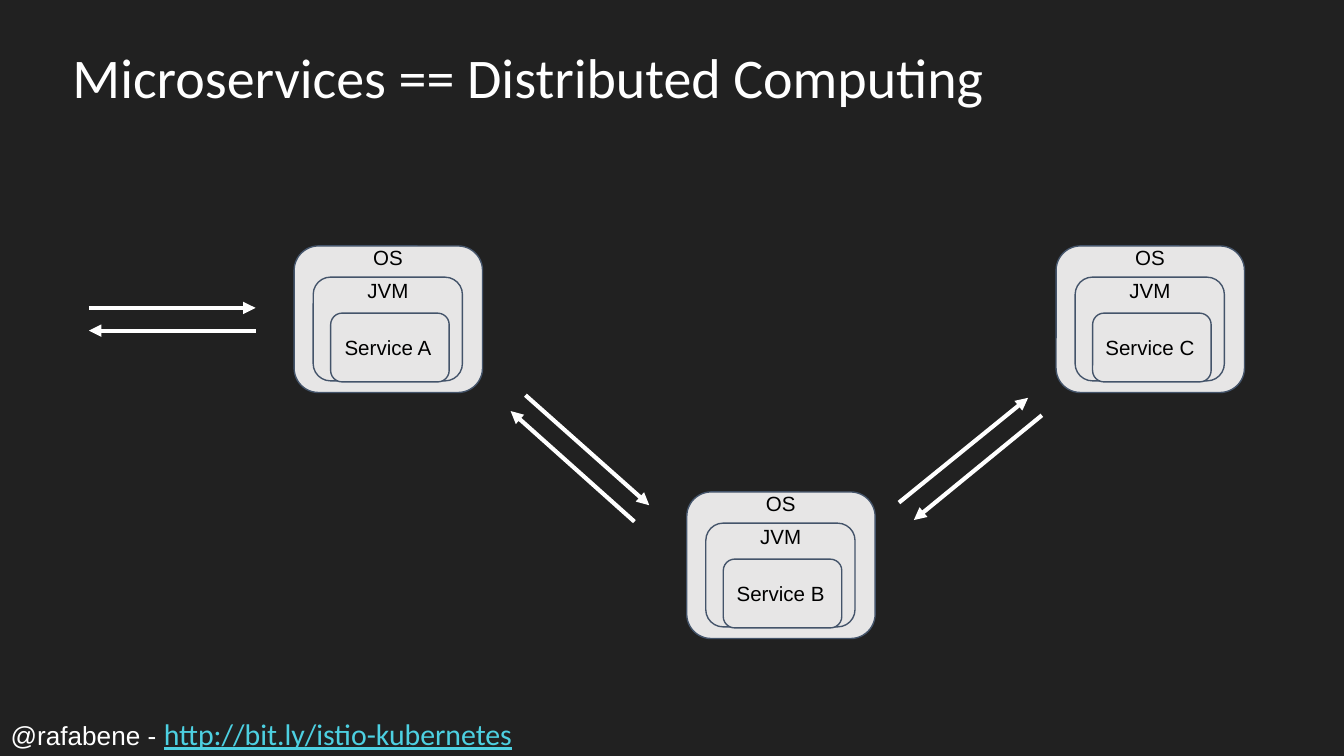
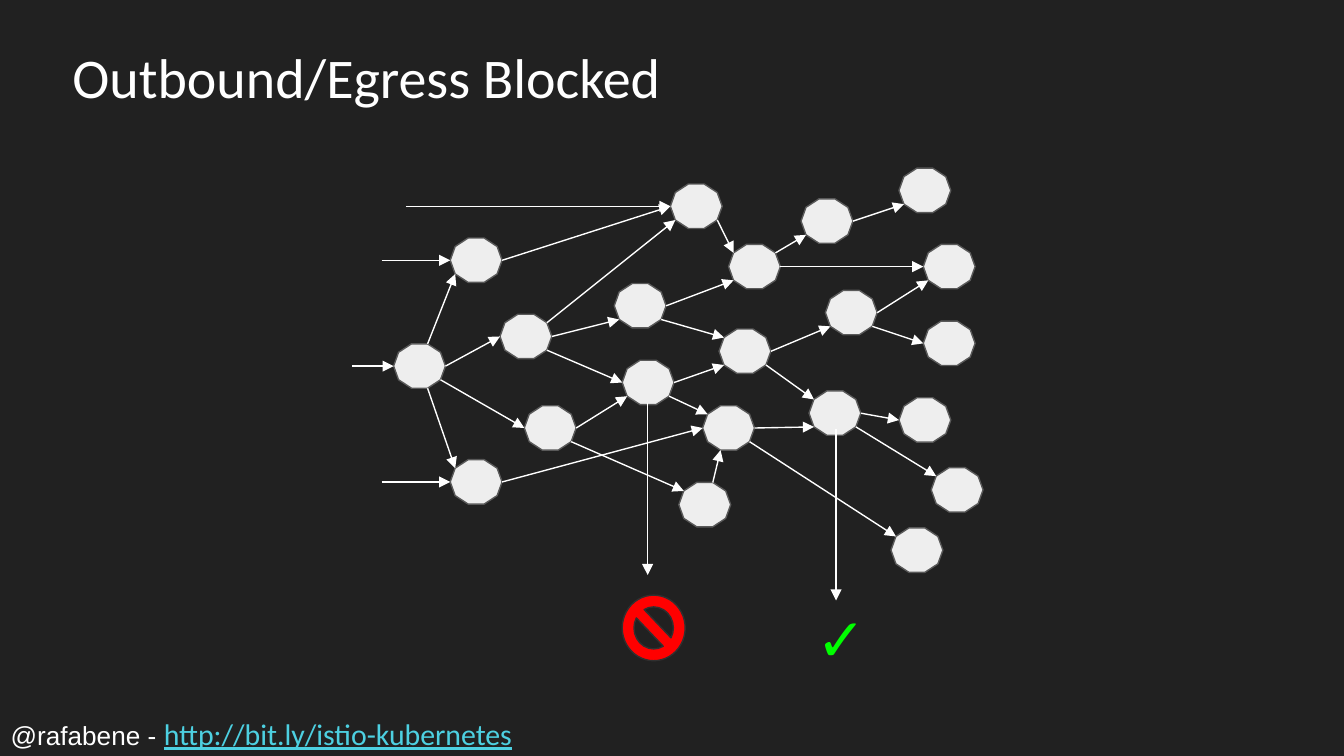
import math

import lxml.etree
import pptx
import pptx.dml.color
import pptx.enum.shapes
import pptx.enum.text
import pptx.oxml.ns
import pptx.util

Cm = pptx.util.Cm
Pt = pptx.util.Pt
RGBColor = pptx.dml.color.RGBColor
Shape = pptx.enum.shapes.MSO_SHAPE
Align = pptx.enum.text.PP_ALIGN
qn = pptx.oxml.ns.qn

BACKGROUND = RGBColor(0x21, 0x21, 0x21)
WHITE = RGBColor(0xFF, 0xFF, 0xFF)
BLACK = RGBColor(0x00, 0x00, 0x00)
LINK = RGBColor(0x4D, 0xD0, 0xE1)
LAYER_FILL = RGBColor(0xE7, 0xE6, 0xE6)
LAYER_LINE = RGBColor(0x44, 0x54, 0x6A)
NODE_FILL = RGBColor(0xEE, 0xEE, 0xEE)
NODE_LINE = RGBColor(0x59, 0x59, 0x59)
BLOCK_FILL = RGBColor(0xFF, 0x00, 0x00)
BLOCK_LINE = RGBColor(0x30, 0x30, 0x30)
ALLOWED = RGBColor(0x00, 0xFF, 0x00)

TITLES = ["Microservices == Distributed Computing", "Outbound/Egress Blocked"]
FOOTER = [
    ("@rafabene - ", "Arial", 14, WHITE, False),
    ("http://bit.ly/istio-kubernetes", "Calibri", 16, LINK, True),
]

SERVICES = [
    ("Service C", 19.96, 4.65),
    ("Service B", 12.98, 9.30),
    ("Service A", 5.56, 4.65),
]
LAYERS = [
    ("OS", (0, 0, 3.56, 2.77), -0.25),
    ("JVM", (0.36, 0.59, 2.82, 1.96), 0.38),
    (None, (0.69, 1.27, 2.24, 1.30), 1.45),
]
LABEL_LEFT, LABEL_WIDTH, LABEL_HEIGHT = 0.49, 2.57, 0.86
CALLS = [
    ((1.68, 5.82), (4.83, 5.82)),
    ((4.83, 6.25), (1.68, 6.25)),
    ((9.93, 7.47), (12.27, 9.55)),
    ((11.99, 9.86), (9.65, 7.77)),
    ((16.99, 9.50), (19.43, 7.52)),
    ((19.69, 7.85), (17.27, 9.83)),
]

NODE_WIDTH, NODE_HEIGHT, NODE_STRETCH = 0.98, 0.84, 1.05
NODES = {
    "a": (7.44, 6.50), "b": (8.51, 4.50), "c": (9.45, 5.94),
    "d": (9.91, 7.67), "e": (8.51, 8.69), "f": (11.61, 5.36),
    "g": (11.76, 6.81), "h": (12.83, 9.12), "i": (13.28, 7.67),
    "j": (13.59, 6.22), "k": (13.77, 4.62), "l": (12.67, 3.48),
    "m": (15.60, 5.49), "n": (15.29, 7.39), "o": (17.45, 6.07),
    "p": (17.45, 4.62), "q": (16.99, 7.52), "r": (17.60, 8.84),
    "s": (16.99, 3.18), "t": (16.84, 9.98), "u": (15.14, 3.76),
}
EDGES = [
    "a8 b4", "a0 c5", "a1 d5", "a2 e6", "c0 f4", "b0 l5", "c9 l4",
    "c1 g5", "d0 g4", "l1 k6", "f0 k4", "k9 u4", "f1 j6", "g0 j4",
    "g1 i6", "e0 i5", "d1 h6", "h8 i3", "j0 m4", "j1 n6", "i0 n4",
    "k0 p5", "u0 s4", "m1 o5", "n0 q5", "n1 r6", "i1 t6", "m0 p4",
]
ENTRIES = [(6.65, "a5"), (7.67, "l5"), (7.21, "b5"), (7.21, "e5")]
EXITS = [(12.24, 7.62), (15.80, 8.10)]
EXIT_LENGTH = 3.25


def add_span(para, text, font, size, color, underline=False, bold=False):
    span = para.add_run()
    span.text = text
    span.font.name = font
    span.font.size = Pt(size)
    span.font.color.rgb = color
    if underline:
        span.font.underline = True
    if bold:
        span.font.bold = True


def set_margins(frame):
    frame.margin_left = frame.margin_right = Cm(0.25)
    frame.margin_top = frame.margin_bottom = Cm(0.25)


def add_text(shapes, place, spans, align=Align.LEFT):
    box = shapes.add_textbox(*map(Cm, place))
    box.text_frame.word_wrap = True
    set_margins(box.text_frame)
    para = box.text_frame.paragraphs[0]
    para.alignment = align
    for span in spans:
        add_span(para, *span)


def add_figure(shapes, kind, place, fill, line):
    figure = shapes.add_shape(kind, *map(Cm, place))
    figure.shadow.inherit = False
    figure.fill.solid()
    figure.fill.fore_color.rgb = fill
    figure.line.color.rgb = line
    figure.line.width = Pt(0.75)
    return figure


def add_arrow(page, start, end, width):
    arrow = page.shapes.add_connector(
        pptx.enum.shapes.MSO_CONNECTOR.STRAIGHT, *map(Cm, (*start, *end)))
    arrow.line.color.rgb = WHITE
    arrow.line.width = Pt(width)
    properties = arrow.element.spPr
    lxml.etree.SubElement(properties.find(qn("a:ln")), qn("a:tailEnd"), type="triangle")
    lxml.etree.SubElement(properties, qn("a:effectLst"))


def add_page(deck, title):
    page = deck.slides.add_slide(deck.slide_layouts[5])
    box = page.shapes.title
    box.left, box.top, box.width, box.height = map(Cm, (1.12, 0.13, 21.89, 2.77))
    frame = box.text_frame
    frame.auto_size = pptx.enum.text.MSO_AUTO_SIZE.NONE
    frame.vertical_anchor = pptx.enum.text.MSO_ANCHOR.MIDDLE
    set_margins(frame)
    para = frame.paragraphs[0]
    para.alignment = Align.LEFT
    para.line_spacing = 0.9
    add_span(para, title, "Calibri", 30, WHITE)
    add_text(page.shapes, (-0.05, 13.28, 11.84, 1.02), FOOTER)
    return page


def add_service(page, name, left, top):
    group = page.shapes.add_group_shape().shapes
    for label, (dx, dy, width, height), label_top in LAYERS:
        add_figure(group, Shape.ROUNDED_RECTANGLE,
                   (left + dx, top + dy, width, height), LAYER_FILL, LAYER_LINE)
        add_text(group, (left + LABEL_LEFT, top + label_top, LABEL_WIDTH, LABEL_HEIGHT),
                 [(label or name, "Arial", 11, BLACK)], Align.CENTER)


def corner(site):
    left, top = NODES[site[0]]
    angle = math.radians(36 * int(site[1]))
    return (left + NODE_WIDTH / 2 * (1 + math.cos(angle)),
            top + NODE_HEIGHT / 2 * (1 + NODE_STRETCH * math.sin(angle)))


def draw_services(page):
    for service in SERVICES:
        add_service(page, *service)
    for start, end in CALLS:
        add_arrow(page, start, end, 2.25)


def draw_mesh(page):
    for left, top in NODES.values():
        add_figure(page.shapes, Shape.DECAGON,
                   (left, top, NODE_WIDTH, NODE_HEIGHT), NODE_FILL, NODE_LINE)
    for edge in EDGES:
        start, end = edge.split()
        add_arrow(page, corner(start), corner(end), 0.75)
    for left, site in ENTRIES:
        end = corner(site)
        add_arrow(page, (left, end[1]), end, 0.75)
    for left, top in EXITS:
        add_arrow(page, (left, top), (left, top + EXIT_LENGTH), 0.75)
    add_figure(page.shapes, Shape.NO_SYMBOL, (11.76, 11.25, 1.19, 1.24),
               BLOCK_FILL, BLOCK_LINE)
    add_text(page.shapes, (15.19, 11.13, 1.19, 1.45),
             [("✓", "Arial", 32, ALLOWED, False, True)], Align.CENTER)


def main():
    deck = pptx.Presentation()
    deck.slide_width, deck.slide_height = Cm(25.4), Cm(14.29)
    background = deck.slide_master.background.fill
    background.solid()
    background.fore_color.rgb = BACKGROUND
    for title, draw in zip(TITLES, (draw_services, draw_mesh)):
        draw(add_page(deck, title))
    deck.save("out.pptx")


if __name__ == "__main__":
    main()
